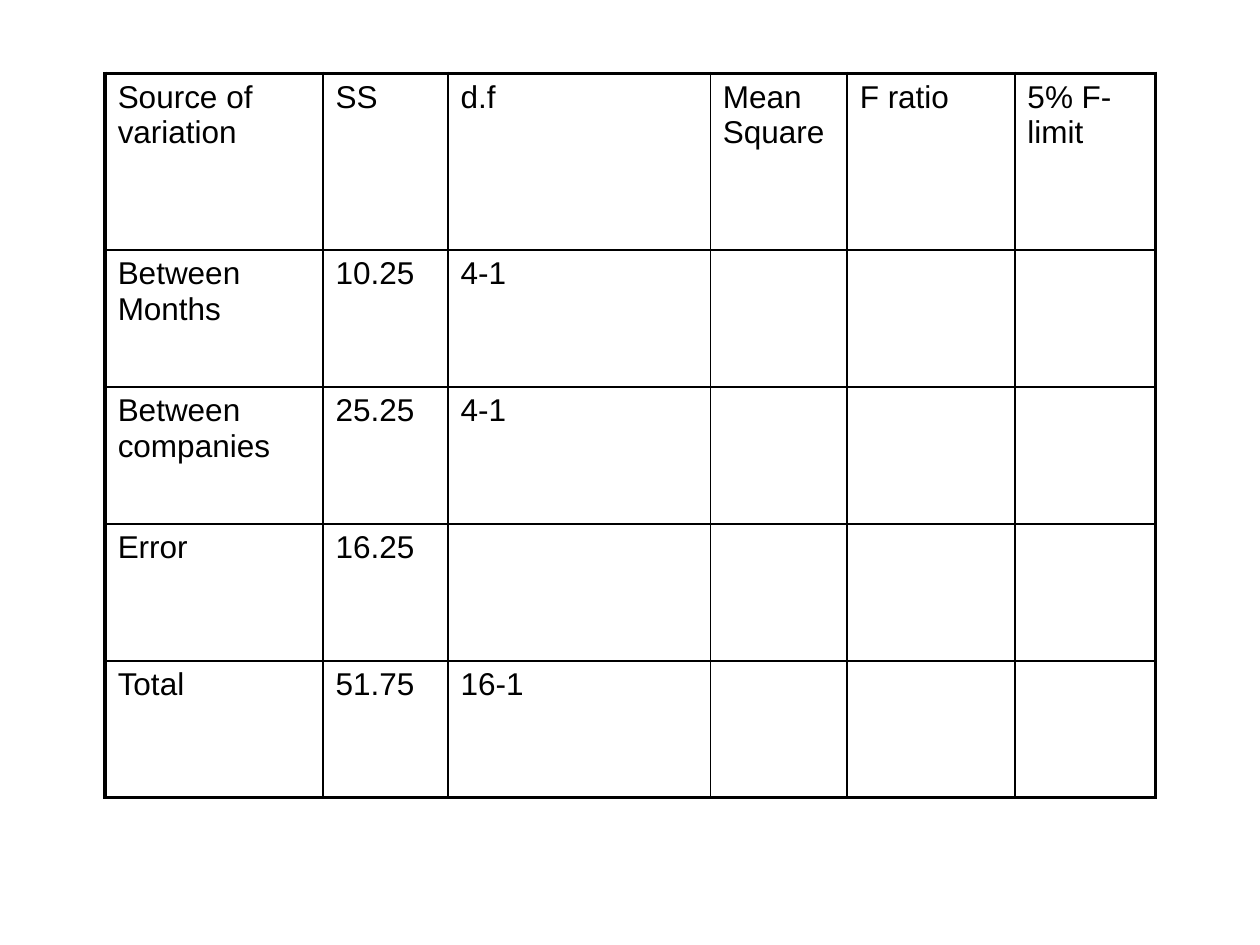
from dataclasses import dataclass

from lxml import etree
from pptx import Presentation
from pptx.dml.color import RGBColor
from pptx.enum import text
from pptx.oxml import ns
from pptx.util import Cm, Pt


@dataclass(frozen=True)
class Theme:
    ink: str = "000000"
    font: str = "Arial"
    size: float = 18
    thin: float = 1
    thick: float = 2.25


THEME = Theme()
COLS = [4.39, 2.52, 5.29, 2.76, 3.38, 2.83]
HEAD, BODY = 3.56, 2.76
HIGH = [HEAD, BODY, 0, BODY, BODY, BODY]
RATIO = 4
ROWS = [
    ["Source of variation", "SS", "d.f", "Mean Square", "F ratio", "5% F-limit"],
    ["Between Months", "10.25", "4-1", "", "", ""],
    [""] * len(COLS),
    ["Between companies", "25.25", "4-1", "", "", ""],
    ["Error", "16.25", "", "", "", ""],
    ["Total", "51.75", "16-1", "", "", ""],
]


def write(frame, words, size=THEME.size, color=THEME.ink, align=text.PP_ALIGN.LEFT):
    para = frame.paragraphs[0]
    para.text = words
    para.alignment = align
    para.font.name = THEME.font
    para.font.size = Pt(size)
    para.font.color.rgb = RGBColor.from_string(color)


def rule(cell, **widths):
    props = cell._tc.get_or_add_tcPr()
    for spot, (side, width) in enumerate(widths.items()):
        line = etree.Element(ns.qn(f"a:ln{side}"), w=str(Pt(width)))
        fill = etree.SubElement(line, ns.qn("a:solidFill"))
        etree.SubElement(fill, ns.qn("a:srgbClr"), val=THEME.ink)
        props.insert(spot, line)


def grid(slide, left, top, rows, cols, high):
    frame = slide.shapes.add_table(
        len(rows), len(cols), Cm(left), Cm(top), Cm(sum(cols)), Cm(sum(high)))
    table = frame.table
    table.first_row = table.horz_banding = False
    for col, width in zip(table.columns, cols):
        col.width = Cm(width)
    for row, height in zip(table.rows, high):
        row.height = Cm(height)
    for c in range(len(cols)):
        start = 2 if c == RATIO else 1
        table.cell(start, c).merge(table.cell(start + 1, c))
    for r, line in enumerate(rows):
        for c, words in enumerate(line):
            cell = table.cell(r, c)
            cell.fill.background()
            write(cell.text_frame, words)
            edges = {"L": c == 0, "R": c == len(cols) - 1,
                     "T": r == 0, "B": r == len(rows) - 1}
            rule(cell, **{side: THEME.thick if outer else THEME.thin
                          for side, outer in edges.items()})


def main():
    deck = Presentation()
    deck.slide_width, deck.slide_height = Cm(25.4), Cm(19.05)
    slide = deck.slides.add_slide(deck.slide_layouts[6])
    grid(slide, 2.12, 1.48, ROWS, COLS, HIGH)
    deck.save("out.pptx")


if __name__ == "__main__":
    main()
